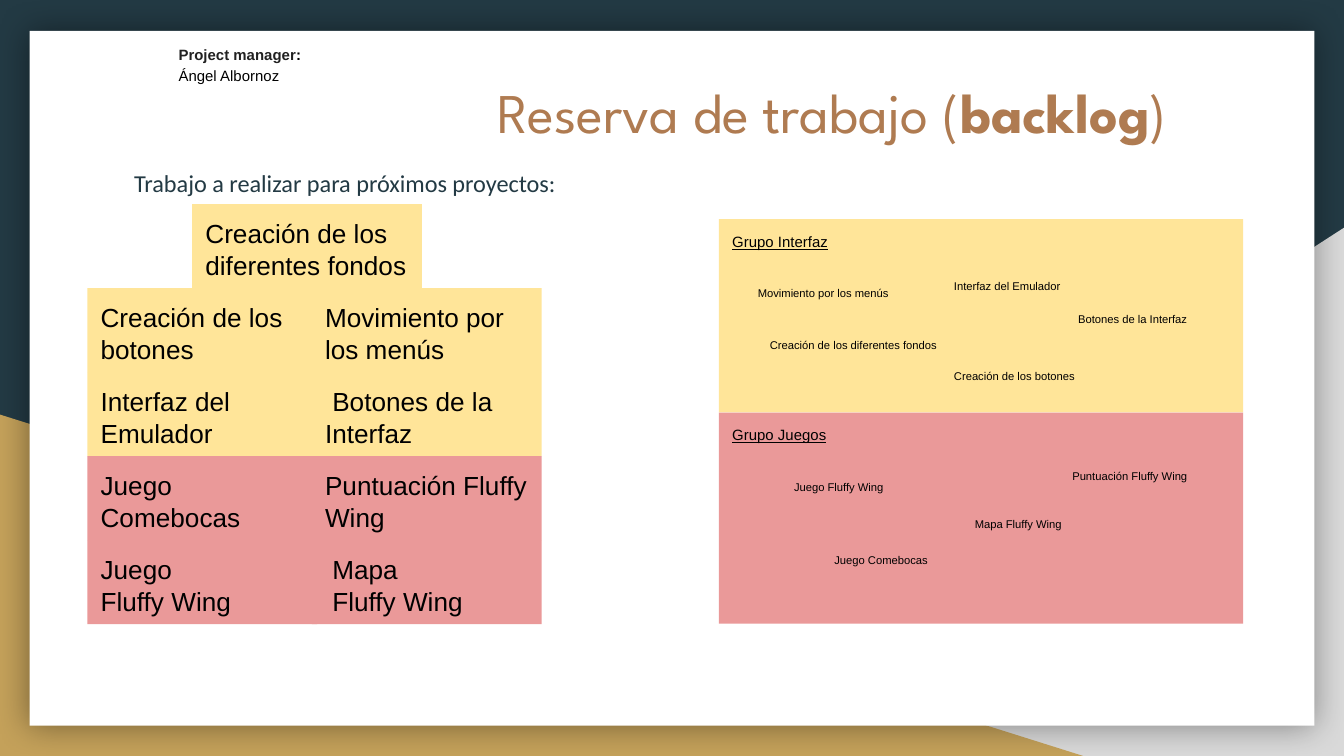
from pptx import Presentation
from pptx.dml.color import RGBColor
from pptx.enum.shapes import MSO_SHAPE as Preset
from pptx.enum.text import MSO_ANCHOR as Anchor, PP_ALIGN as Align
from pptx.oxml import parse_xml
from pptx.oxml.ns import nsdecls, qn
from pptx.util import Inches, Pt

COLORS = {
    "navy": "233A44", "gray": "D9D9D9", "gold": "C4A15A", "white": "FFFFFF",
    "copper": "AF7B51", "ink": "000000", "label": "212121",
    "interface": "FFE599", "games": "EA9999",
}
PAGE_W, PAGE_H = 10, 10 * 9 / 16
CARD_W, CARD_H = 1.71, PAGE_H / 9
COLUMN_STEP = 1.67

CARD_ROWS = [
    ("interface", ["Creación de los botones", "Movimiento por los menús"]),
    ("interface", ["Interfaz del Emulador", " Botones de la Interfaz"]),
    ("games", ["Juego Comebocas", "Puntuación Fluffy Wing"]),
    ("games", ["Juego\nFluffy Wing", " Mapa\n Fluffy Wing"]),
]
INTERFACE_NOTES = [
    ("Interfaz del Emulador| ", 1.65, 0.24, 1.23, 0.32),
    (" Botones de la Interfaz", 2.55, 0.59, 1.05, 0.25),
    ("Movimiento por los menús", 0.19, 0.4, 1.17, 0.25),
    ("Creación de los diferentes fondos", 0.28, 0.79, 1.47, 0.28),
    ("Creación de los botones", 1.65, 1.02, 1.53, 0.32),
]
GAME_NOTES = [
    ("Juego Fluffy Wing", 0.46, 0.4, 0.9, 0.28),
    (" |Mapa Fluffy Wing", 1.75, 0.57, 0.98, 0.41),
    ("Puntuación Fluffy Wing", 2.53, 0.32, 1.09, 0.32),
    ("Juego Comebocas", 0.76, 0.95, 1.09, 0.32),
]


def rgb(name):
    return RGBColor.from_string(COLORS[name])


def style(span, size, font="Arial", color="ink", bold=False):
    span.font.size = Pt(size)
    span.font.name = font
    span.font.color.rgb = rgb(color)
    span.font.bold = bold


def set_frame(frame, right=0.1):
    frame.word_wrap = True
    frame.vertical_anchor = Anchor.TOP
    frame.margin_left = frame.margin_top = frame.margin_bottom = Inches(0.1)
    frame.margin_right = Inches(right)


def add_panel(page, preset, box, color):
    panel = page.shapes.add_shape(preset, *map(Inches, box))
    panel.shadow.inherit = False
    panel.fill.solid()
    panel.fill.fore_color.rgb = rgb(color)
    panel.line.fill.background()
    return panel


def add_label(page, box, color, text, size, right=0.1):
    label = add_panel(page, Preset.RECTANGLE, box, color)
    set_frame(label.text_frame, right)
    label.text_frame.text = text
    for para in label.text_frame.paragraphs:
        para.alignment = Align.LEFT
        for span in para.runs:
            style(span, size)
    return label


def add_text(page, box, lines, spacing=None):
    frame = page.shapes.add_textbox(*map(Inches, box)).text_frame
    set_frame(frame)
    for index, spans in enumerate(lines):
        para = frame.add_paragraph() if index else frame.paragraphs[0]
        para.line_spacing = spacing
        for text, look in spans:
            span = para.add_run()
            span.text = text
            style(span, **look)


def backdrop(page, width, height):
    page.background.fill.solid()
    page.background.fill.fore_color.rgb = rgb("navy")
    gray = add_panel(page, Preset.RIGHT_TRIANGLE, (width - 6.08, height - 3.93, 6.08, 3.93), "gray")
    gray.element.spPr.find(qn("a:xfrm")).set("flipH", "1")
    add_panel(page, Preset.RIGHT_TRIANGLE, (0, height - 2.54, 8.06, 2.54), "gold")
    sheet = add_panel(page, Preset.RECTANGLE, (0.22, 0.23, 9.56, 5.17), "white")
    effects = sheet.element.spPr.find(qn("a:effectLst"))
    effects.append(parse_xml(
        f'<a:outerShdw {nsdecls("a")} blurRad="{Pt(18)}" dist="0" dir="0" algn="ctr" rotWithShape="0">'
        f'<a:srgbClr val="{COLORS["ink"]}"><a:alpha val="40000"/></a:srgbClr></a:outerShdw>'))


def headings(page):
    title = dict(size=30, font="League Spartan", color="copper")
    add_text(page, (3.6, 0.48, 5.66, 0.71), [[
        ("Reserva de trabajo (", title), ("backlog", dict(title, bold=True)), (")", title)]])
    add_text(page, (0.9, 1.12, 3.43, 0.55), [[
        ("Trabajo a realizar para próximos proyectos:",
         dict(size=13, font="Calibri", color="navy"))]], 1.15)
    add_text(page, (1.23, 0.22, 1.61, 0.55), [
        [("Project manager", dict(size=8, color="label", bold=True)),
         (":", dict(size=8, bold=True))],
        [("Ángel Albornoz", dict(size=8))]], 1.15)


def backlog_cards(page, left, top):
    add_label(page, (left + 0.78, top, CARD_W, CARD_H), "interface",
              "Creación de los diferentes fondos", 14)
    for row, (color, texts) in enumerate(CARD_ROWS, 1):
        for column, text in enumerate(texts):
            box = (left + column * COLUMN_STEP, top + row * CARD_H, CARD_W, CARD_H)
            add_label(page, box, color, text, 14)


def work_group(page, box, color, heading, notes):
    left, top = box[:2]
    panel = add_label(page, box, color, heading, 8)
    panel.text_frame.paragraphs[0].runs[0].font.underline = True
    for text, x, y, width, height in notes:
        first, *rest = text.split("|")
        note = add_label(page, (left + x, top + y, width, height), color, first, 6, 0.05)
        para = note.text_frame.paragraphs[0]
        for part in rest:
            para.add_run().text = part
        for span in para.runs:
            style(span, 6 if span.text.strip() else 14)


def main():
    deck = Presentation()
    deck.slide_width, deck.slide_height = Inches(PAGE_W), Inches(PAGE_H)
    page = deck.slides.add_slide(deck.slide_layouts[6])
    backdrop(page, PAGE_W, PAGE_H)
    headings(page)
    backlog_cards(page, 0.65, 1.52)
    work_group(page, (5.35, 1.63, 3.9, 1.44), "interface", "Grupo Interfaz", INTERFACE_NOTES)
    work_group(page, (5.35, 3.07, 3.9, 1.57), "games", "Grupo Juegos", GAME_NOTES)
    deck.save("out.pptx")


if __name__ == "__main__":
    main()
